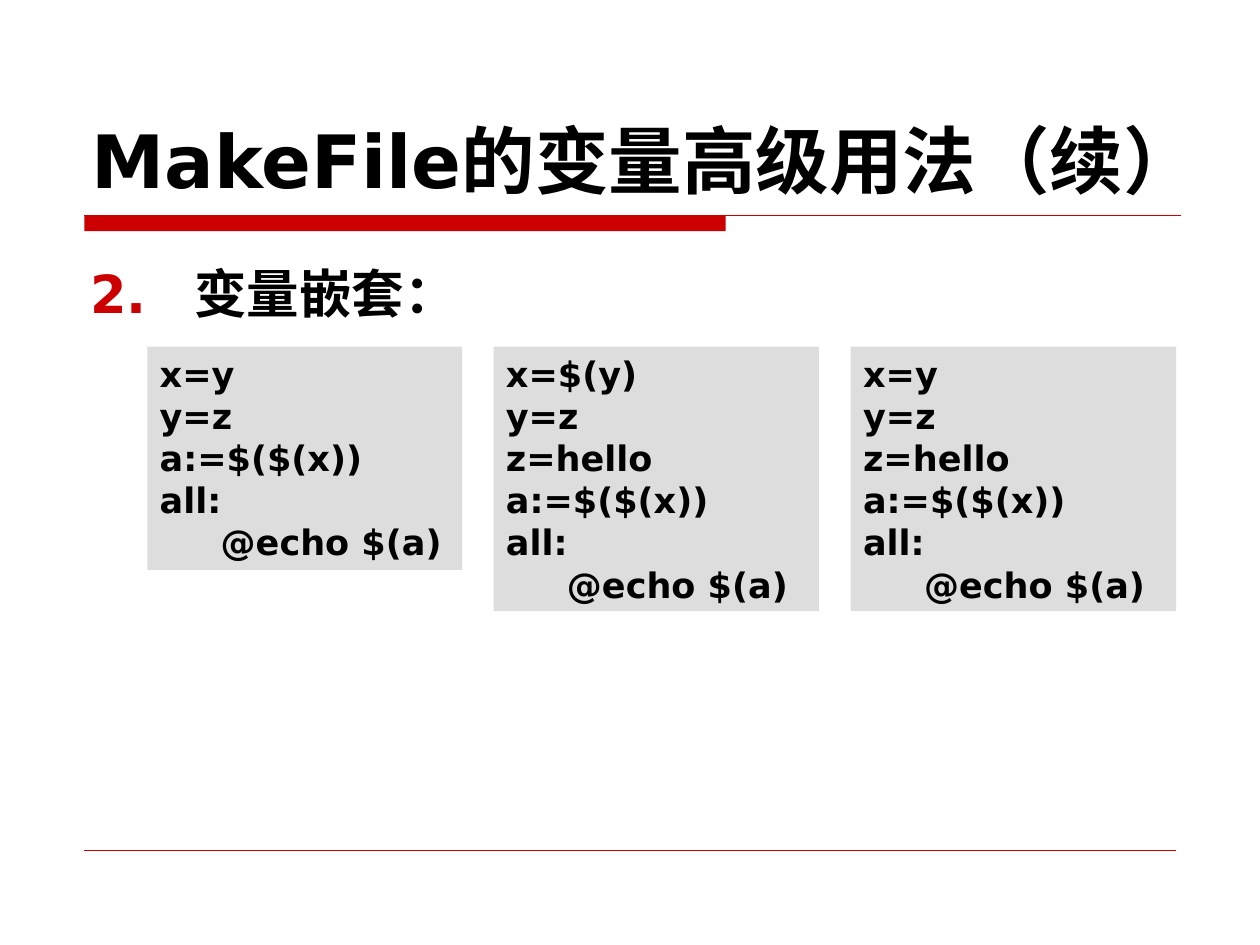
from dataclasses import dataclass

from lxml.etree import SubElement
from pptx import Presentation
from pptx.dml.color import RGBColor
from pptx.enum.shapes import MSO_CONNECTOR as Connector, MSO_SHAPE as Shape
from pptx.enum.text import MSO_ANCHOR as Anchor, MSO_AUTO_SIZE as AutoSize, PP_ALIGN as Align
from pptx.oxml.ns import qn
from pptx.util import Cm, Pt

RED = RGBColor(0xCC, 0x00, 0x00)
BLACK = RGBColor(0x00, 0x00, 0x00)
GREY = RGBColor(0xDD, 0xDD, 0xDD)
FONT = "DejaVu Sans"
MARGIN = 1.7
CODE_TOP = 6.99
CODE_TAB = 1.23
NUMBER_INDENT = 2.1


@dataclass
class CodeBox:
    left: float
    width: float
    height: float
    lines: tuple[str, ...]


@dataclass
class Rule:
    top: float
    right: float
    weight: float


ENDING = ("a:=$($(x))", "all:", "\t@echo $(a)")
CODE_BOXES = (
    CodeBox(2.97, 6.35, 4.5, ("x=y", "y=z", *ENDING)),
    CodeBox(9.95, 6.56, 5.33, ("x=$(y)", "y=z", "z=hello", *ENDING)),
    CodeBox(17.15, 6.56, 5.33, ("x=y", "y=z", "z=hello", *ENDING)),
)
RULES = (Rule(4.34, 23.8, 0.75), Rule(17.15, 23.7, 0.25))


def set_all(target, **values) -> None:
    for name, value in values.items():
        setattr(target, name, value)


def add_span(para, text: str, size: float, color: RGBColor = BLACK) -> None:
    span = para.add_run()
    span.text = text
    set_all(span.font, name=FONT, size=Pt(size), bold=True)
    span.font.color.rgb = color
    SubElement(span.font._element, qn("a:ea"), typeface=FONT)


def add_tab(para, position: float) -> None:
    tabs = SubElement(para._p.get_or_add_pPr(), qn("a:tabLst"))
    SubElement(tabs, qn("a:tab"), pos=str(Cm(position)), algn="l")


def add_text_box(page, left: float, top: float, width: float, height: float, anchor):
    box = page.shapes.add_textbox(Cm(left), Cm(top), Cm(width), Cm(height))
    set_all(box.text_frame, word_wrap=True, vertical_anchor=anchor)
    return box.text_frame.paragraphs[0]


def add_rectangle(page, left: float, top: float, width: float, height: float, color: RGBColor):
    box = page.shapes.add_shape(Shape.RECTANGLE, Cm(left), Cm(top), Cm(width), Cm(height))
    box.shadow.inherit = False
    box.fill.solid()
    box.fill.fore_color.rgb = color
    box.line.fill.background()
    return box


def add_rule(page, rule: Rule) -> None:
    line = page.shapes.add_connector(
        Connector.STRAIGHT, Cm(MARGIN), Cm(rule.top), Cm(rule.right), Cm(rule.top))
    line.line.color.rgb = RED
    line.line.width = Pt(rule.weight)
    SubElement(line._element.spPr, qn("a:effectLst"))


def add_code_box(page, code: CodeBox) -> None:
    box = add_rectangle(page, code.left, CODE_TOP, code.width, code.height, GREY)
    frame = box.text_frame
    set_all(frame, word_wrap=True, vertical_anchor=Anchor.TOP,
            auto_size=AutoSize.SHAPE_TO_FIT_TEXT)
    for index, text in enumerate(code.lines):
        para = frame.add_paragraph() if index else frame.paragraphs[0]
        para.alignment = Align.LEFT
        add_tab(para, CODE_TAB)
        add_span(para, text, 20)


def main() -> None:
    deck = Presentation()
    set_all(deck, slide_width=Cm(25.4), slide_height=Cm(19.05))
    page = deck.slides.add_slide(deck.slide_layouts[6])

    # Red bar and thin rules
    add_rectangle(page, MARGIN, 4.34, 12.93, 0.32, RED)
    for rule in RULES:
        add_rule(page, rule)

    # Title
    title = add_text_box(page, 1.6, 0.84, 23.11, 3.38, Anchor.BOTTOM)
    add_span(title, "MakeFile的变量高级用法（续）", 42)

    # Numbered heading with a hanging indent
    heading = add_text_box(page, 1.57, 4.88, 22.35, 1.8, Anchor.TOP)
    heading.line_spacing = 1.2
    layout = heading._p.get_or_add_pPr()
    layout.set("marL", str(Cm(NUMBER_INDENT)))
    layout.set("indent", str(-Cm(NUMBER_INDENT)))
    add_span(heading, "2.\t", 30, RED)
    add_span(heading, "变量嵌套：", 30)

    # Code examples
    for code in CODE_BOXES:
        add_code_box(page, code)

    deck.save("out.pptx")


if __name__ == "__main__":
    main()
